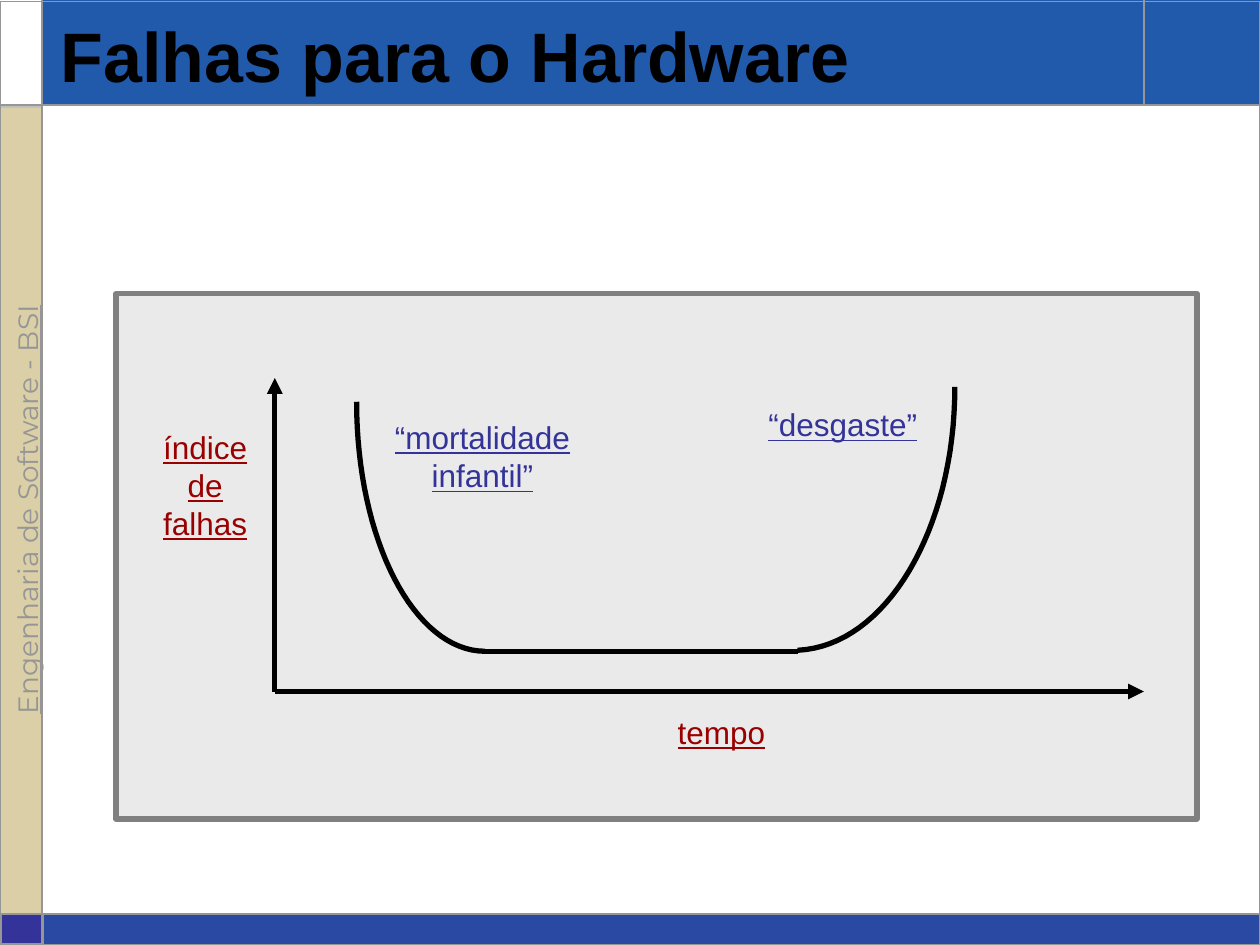
import lxml.etree
import pptx
import pptx.dml.color
import pptx.enum.shapes
import pptx.enum.text
import pptx.oxml.ns
import pptx.util

Cm = pptx.util.Cm
Pt = pptx.util.Pt
RGB = pptx.dml.color.RGBColor
ALIGN = pptx.enum.text.PP_ALIGN
ANCHOR = pptx.enum.text.MSO_ANCHOR
qn = pptx.oxml.ns.qn

BLACK = RGB(0x00, 0x00, 0x00)
GRAY = RGB(0x96, 0x96, 0x96)
SILVER = RGB(0xC0, 0xC0, 0xC0)
FRAME = RGB(0x80, 0x80, 0x80)
PANEL = RGB(0xEA, 0xEA, 0xEA)
BLUE = RGB(0x21, 0x59, 0xAB)
FOOTER = RGB(0x29, 0x49, 0xA3)
SAND = RGB(0xDA, 0xCF, 0xA6)
INDIGO = RGB(0x33, 0x33, 0x99)
RED = RGB(0x99, 0x00, 0x00)

# Page grid in cm
W, H = 25.4, 19.05
SIDE, HEAD, FOOT, TAB = 0.84, 2.11, 18.42, 23.06


class Deck:
    font = {"name": "Arial", "size": Pt(18), "underline": True}

    def __init__(self):
        self.prs = pptx.Presentation()
        self.prs.slide_width, self.prs.slide_height = Cm(W), Cm(H)
        self.s = self.prs.slides.add_slide(self.prs.slide_layouts[6])

    def stroke(self, sp, color, width):
        if color is None:
            sp.line.fill.background()
        else:
            sp.line.color.rgb = color
            sp.line.width = Pt(width)

    def rect(self, x, y, w, h, fill=None, line=None, width=1):
        sp = self.s.shapes.add_shape(
            pptx.enum.shapes.MSO_SHAPE.RECTANGLE, Cm(x), Cm(y), Cm(w), Cm(h))
        sp.shadow.inherit = False
        if fill is None:
            sp.fill.background()
        else:
            sp.fill.solid()
            sp.fill.fore_color.rgb = fill
        self.stroke(sp, line, width)

    def line(self, x1, y1, x2, y2, color=GRAY, width=1, arrow=False):
        sp = self.s.shapes.add_connector(
            pptx.enum.shapes.MSO_CONNECTOR.STRAIGHT, Cm(x1), Cm(y1), Cm(x2), Cm(y2))
        self.stroke(sp, color, width)
        if arrow:
            ln = sp.line._get_or_add_ln()
            lxml.etree.SubElement(ln, qn("a:tailEnd"), type="triangle")
        lxml.etree.SubElement(sp._element.spPr, qn("a:effectLst"))

    def curve(self, *ctrl, steps=32):
        """Cubic Bezier through four control points, drawn as short segments."""
        pts = []
        for i in range(steps + 1):
            t = i / steps
            k = ((1 - t) ** 3, 3 * t * (1 - t) ** 2, 3 * t * t * (1 - t), t ** 3)
            pts.append(tuple(Cm(sum(a * c[d] for a, c in zip(k, ctrl))) for d in (0, 1)))
        fb = self.s.shapes.build_freeform(*pts[0])
        fb.add_line_segments(pts[1:], close=False)
        sp = fb.convert_to_shape()
        sp.shadow.inherit = False
        sp.fill.background()
        self.stroke(sp, BLACK, 3)

    def text(self, x, y, w, h, runs, color, font=None, para=None, frame=None, rotation=0):
        sp = self.s.shapes.add_textbox(Cm(x), Cm(y), Cm(w), Cm(h))
        sp.rotation = rotation
        tf = sp.text_frame
        for key, value in {"word_wrap": True, **(frame or {})}.items():
            setattr(tf, key, value)
        p = tf.paragraphs[0]
        for key, value in (para or {}).items():
            setattr(p, key, value)
        for content, size in runs:
            r = p.add_run()
            r.text = content
            for key, value in {**self.font, "size": Pt(size), **(font or {})}.items():
                setattr(r.font, key, value)
            r.font.color.rgb = color


def main():
    d = Deck()
    center = {"alignment": ALIGN.CENTER}

    # Page frame
    d.rect(SIDE, 0, W - SIDE, HEAD, BLUE)
    d.rect(0, 2.16, SIDE, 16.31, SAND, SILVER, 0.75)
    d.rect(SIDE, FOOT, W - SIDE, H - FOOT, FOOTER)
    d.text(-4.34, 9.93, 9.53, 0.69, [("Engenharia de Software - BSI", 16)], GRAY,
           font={"name": "Montserrat"}, para=center,
           frame={"word_wrap": False}, rotation=270)
    d.line(TAB, 0, TAB, HEAD)
    d.line(0, HEAD, W, HEAD)
    d.rect(0.03, FOOT, SIDE, 0.61, INDIGO, GRAY, 0.75)
    d.line(SIDE, 0, SIDE, H)
    d.rect(0, 0.03, W, H - 0.03, line=GRAY)
    d.line(0, FOOT, W, FOOT)

    # Panel and title
    d.rect(2.34, 5.92, 21.79, 10.59, PANEL, FRAME, 3)
    d.text(0.97, 0.33, 23.5, 1.85, [("Falhas para o Hardware", 40)], BLACK,
           font={"bold": True, "underline": False}, para={"line_spacing": 0.8},
           frame={"vertical_anchor": ANCHOR.MIDDLE})

    # Labels
    d.text(13.41, 14.25, 4.57, 1.5, [("tempo", 18)], RED)
    d.text(15.24, 8.05, 4.06, 1.8, [("“desgaste”", 18)], INDIGO)
    d.text(7.06, 8.23, 5.33, 3.3,
           [("“mortalidade", 18), (" ", 20), ("infantil”", 18)], INDIGO,
           para={**center, "space_before": Pt(9), "space_after": Pt(3)})
    d.text(2.74, 8.51, 2.79, 3.61, [("índice de falhas", 18)], RED, para=center)

    # Axes
    x0, y0 = 5.54, 13.94
    d.line(x0, y0, x0, 7.62, BLACK, 3, arrow=True)
    d.line(x0, y0, TAB, y0, BLACK, 3, arrow=True)

    # Bathtub curve
    d.curve((9.78, 13.13), (8.36, 13.13), (7.19, 10.9), (7.19, 8.1))
    d.curve((16.08, 13.11), (17.86, 13.03), (19.25, 10.67), (19.25, 7.8))
    d.line(9.73, 13.13, 16.08, 13.13, BLACK, 3)

    d.prs.save("out.pptx")


if __name__ == "__main__":
    main()
